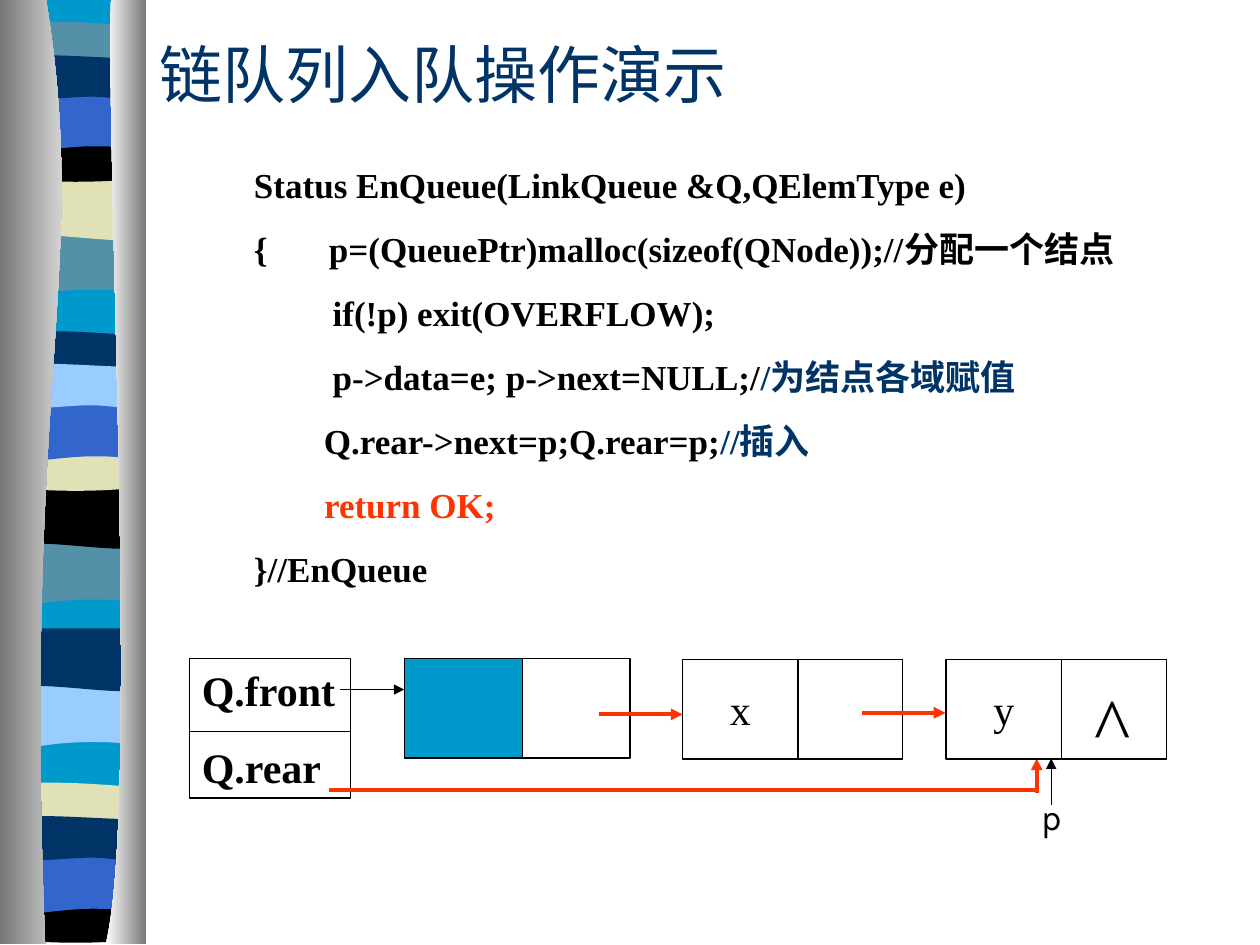
from lxml.etree import SubElement as Sub
from pptx import Presentation as Deck
from pptx.dml.color import RGBColor as Rgb
from pptx.enum.shapes import MSO_CONNECTOR as Link, MSO_SHAPE as Form
from pptx.enum.text import MSO_ANCHOR as Anchor, PP_ALIGN as Align
from pptx.oxml.ns import qn
from pptx.util import Cm, Pt

SERIF = "Times New Roman"
BLACK, NAVY, RED, CYAN = "000000", "003366", "FF3300", "0099CC"
TEAL, SAND, BLUE, SKY = "5490A8", "E1E1B7", "3366CC", "99CCFF"

WAVES = [
    [(2.74, 0), (2.74, 1.2), (.84, .99, .46, 1.4, 0, 1.2), (0, 0)],
    [(2.74, 0), (2.74, 1.2), (2.29, 1.4, .84, 1.04, 0, 1.2), (0, 0)],
    [(2.74, .13), (2.74, .74), (2.29, .84, .46, .84, 0, .74), (0, .13),
     (.15, 0, .58, .03, 1.04, .03), (1.5, .03, 2.39, .1, 2.74, .13)],
    [(2.74, 0), (2.74, .82), (2.29, .96, .46, .96, 0, .82), (0, 0),
     (1.68, .13, 2.16, 0, 2.74, 0)],
    [(2.74, 0), (2.74, 1.2), (2.31, 1.07, 2.13, 1.07, 1.68, 1.07),
     (1.22, 1.07, .41, 1.2, 0, 1.2), (0, 0)],
    [(2.74, .13), (2.74, .91), (2.57, 1.04, 2.13, .91, 1.68, .91),
     (1.22, .91, .28, 1.04, 0, .91), (0, .13),
     (.38, 0, 1.85, .13, 2.31, .13), (2.77, .13, 2.64, .13, 2.74, .13)],
]
BANDS = [
    [(4.7, TEAL), (3.58, SAND), (.41, TEAL), (2.74, BLACK), (1.88, BLUE), (1.04, NAVY)],
    [(10.95, TEAL), (9.8, BLACK), (6.65, NAVY), (8.97, SAND), (8.13, BLUE), (7.26, SKY)],
    [(13.82, SKY), (12.67, NAVY), (15.75, SAND), (18.08, BLACK), (17.25, BLUE), (16.38, NAVY)],
]
LEFT = [(.93, 0), (1.82, 5.49, .45, 7.52, .91, 19.03), (0, 19.03), (0, 0)]
RIGHT = [(2.24, 0), (2.13, 3.18, 2.82, 16.41, 2.13, 19.03), (2.95, 19.03), (2.95, 0)]

CODE = [
    [("Status EnQueue(LinkQueue &Q,QElemType e)", BLACK)],
    [("{       p=(QueuePtr)malloc(sizeof(QNode));//分配一个结点", BLACK)],
    [("         if(!p) exit(OVERFLOW);", BLACK)],
    [("         p->data=e; p->next=NULL;/", BLACK), ("/为结点各域赋值", NAVY)],
    [("        Q.rear->next=p;Q.rear=p;", BLACK), ("//插入", NAVY)],
    [("        ", BLACK), ("return OK;", RED)],
    [("}//EnQueue", BLACK)],
]


def tint(code):
    return Rgb.from_string(code)


def bend(shape, segs):
    steps = iter(list(shape._element.iter(qn("a:lnTo"))))
    for seg in segs[1:]:
        first = next(steps)
        if len(seg) == 6:
            first.tag = qn("a:cubicBezTo")
            for step in (next(steps), next(steps)):
                first.append(step[0])
                step.getparent().remove(step)


def outline(shapes, segs, left=0, top=0):
    pts = [seg[i:i + 2] for seg in segs for i in range(0, len(seg), 2)]
    spots = [(Cm(left + x), Cm(top + y)) for x, y in pts]
    build = shapes.build_freeform(*spots[0])
    build.add_line_segments(spots[1:], close=False)
    shape = build.convert_to_shape()
    bend(shape, segs)
    shape.shadow.inherit = False
    shape.line.fill.background()
    return shape


def band(shapes, segs, top, color):
    fill = outline(shapes, segs, .15, top).fill
    fill.solid()
    fill.fore_color.rgb = tint(color)


def column(shapes, segs, *colors):
    fill = outline(shapes, segs).fill
    fill.gradient()
    fill.gradient_angle = 0
    for stop, color in zip(fill.gradient_stops, colors):
        stop.color.rgb = tint(color)


def write(frame, paras, size, font=SERIF, bold=False, gap=0, align=Align.LEFT):
    for i, runs in enumerate(paras):
        para = frame.add_paragraph() if i else frame.paragraphs[0]
        para.alignment = align
        if i and gap:
            para.space_before = Pt(gap)
        for text, color in runs:
            run = para.add_run()
            run.text = text
            run.font.size = Pt(size)
            run.font.name = font
            run.font.bold = bold
            run.font.color.rgb = tint(color)


def label(slide, box, paras, size, anchor=Anchor.TOP, **style):
    frame = slide.shapes.add_textbox(*map(Cm, box)).text_frame
    frame.word_wrap = True
    frame.vertical_anchor = anchor
    write(frame, paras, size, **style)


def cell(shapes, left, top, wide, high=2.01, color=None):
    shape = shapes.add_shape(Form.RECTANGLE, *map(Cm, (left, top, wide, high)))
    shape.shadow.inherit = False
    shape.line.color.rgb = tint(BLACK)
    shape.line.width = Pt(.75)
    if color:
        shape.fill.solid()
        shape.fill.fore_color.rgb = tint(color)
    else:
        shape.fill.background()
    return shape


def node(shapes, left, text):
    frame = cell(shapes, left, 13.29, 2.33).text_frame
    frame.word_wrap = False
    frame.vertical_anchor = Anchor.MIDDLE
    write(frame, [[(text, BLACK)]], 24, align=Align.CENTER)
    cell(shapes, left + 2.33, 13.29, 2.11)


def line(shapes, ends, color=BLACK, width=.75, head=True):
    link = shapes.add_connector(Link.STRAIGHT, *map(Cm, ends))
    link.line.color.rgb = tint(color)
    link.line.width = Pt(width)
    if head:
        Sub(link.line._get_or_add_ln(), qn("a:tailEnd"), type="triangle")
    Sub(link._element.spPr, qn("a:effectLst"))


def border(slide):
    shapes = slide.shapes.add_group_shape().shapes
    band(shapes, [(2.74, 0), (2.74, 19), (0, 19), (0, 0)], 0, CYAN)
    for group in BANDS:
        for wave, (top, color) in zip(WAVES, group):
            band(shapes, wave, top, color)
    column(shapes, LEFT, "767676", "FFFFFF")
    column(shapes, RIGHT, "FFFFFF", "767676")


def queue(slide):
    shapes = slide.shapes
    frame = cell(shapes, 3.82, 13.27, 3.25, 2.82).text_frame
    frame.word_wrap = True
    frame.vertical_anchor = Anchor.TOP
    write(frame, [[("Q.front", BLACK)], [("Q.rear", BLACK)]], 24, bold=True, gap=15)
    line(shapes, (3.82, 14.75, 7.07, 14.75), head=False)
    cell(shapes, 8.15, 13.27, 2.39, color=CYAN)
    cell(shapes, 10.54, 13.27, 2.16)
    line(shapes, (6.86, 13.9, 8.15, 13.9))
    node(shapes.add_group_shape().shapes, 13.76, "x")
    path = shapes.add_group_shape().shapes
    line(path, (6.63, 15.93, 20.9, 15.93), RED, 2.25, head=False)
    line(path, (20.9, 15.98, 20.9, 15.29), RED, 2.25)
    line(shapes, (12.07, 14.4, 13.76, 14.4), RED, 2.25)
    node(shapes, 19.07, "y")
    label(slide, (21.82, 13.49, 1.27, 2.13), [[("^", BLACK)]], 44)
    line(shapes, (21.19, 16.23, 21.19, 15.29))
    label(slide, (20.74, 15.92, 2.11, 1.12), [[("p", BLACK)]], 20, font="Karla")
    line(shapes, (17.37, 14.37, 19.06, 14.37), RED, 2.25)


def main():
    deck = Deck()
    deck.slide_width, deck.slide_height = Cm(25.4), Cm(19.05)
    slide = deck.slides.add_slide(deck.slide_layouts[6])
    border(slide)
    label(slide, (2.97, .43, 14.94, 2.11), [[("链队列入队操作演示", NAVY)]], 36, Anchor.MIDDLE)
    label(slide, (4.87, 3.18, 18.21, 8.84), CODE, 20, bold=True, gap=12.5)
    queue(slide)
    deck.save("out.pptx")


if __name__ == "__main__":
    main()
